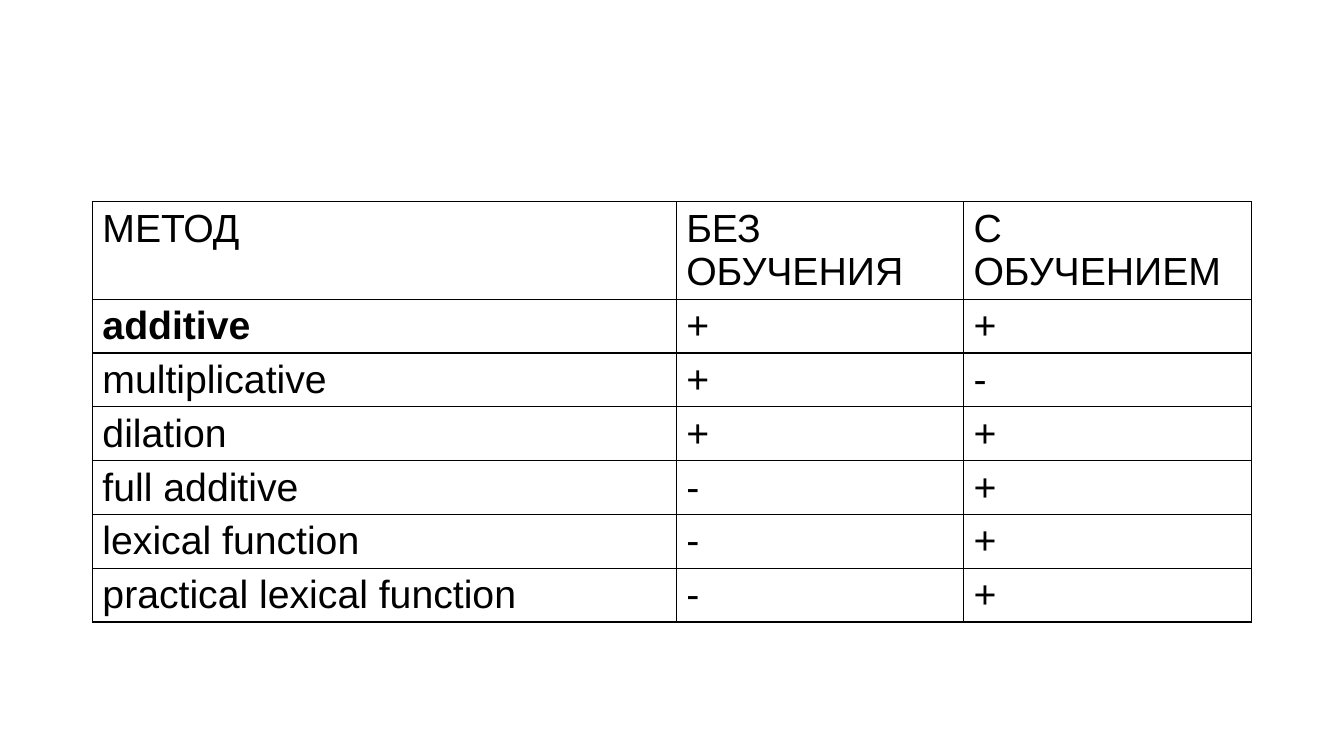
from lxml.etree import SubElement
from pptx import Presentation
from pptx.dml.color import RGBColor
from pptx.oxml.ns import qn
from pptx.util import Inches, Pt

GRID_COLUMNS, GRID_ROWS = 160, 90  # one grid unit is 1/12 inch

HEADINGS = ["МЕТОД", "БЕЗ ОБУЧЕНИЯ", "С ОБУЧЕНИЕМ"]
METHODS = [
    ["additive", "+", "+"],
    ["multiplicative", "+", "-"],
    ["dilation", "+", "+"],
    ["full additive", "-", "+"],
    ["lexical function", "-", "+"],
    ["practical lexical function", "-", "+"],
]
HIGHLIGHTED = "additive"


def color(hex_code):
    return RGBColor.from_string(hex_code)


def write(frame, text, font="Arial", size=28, ink="000000", bold=False):
    run = frame.paragraphs[0].add_run()
    run.text = text
    run.font.name = font
    run.font.size = Pt(size)
    run.font.bold = bold
    run.font.color.rgb = color(ink)


class MethodSlide:
    ink = "000000"
    border_width = Pt(1)

    def __init__(self, deck):
        self.column = deck.slide_width / GRID_COLUMNS
        self.row = deck.slide_height / GRID_ROWS
        self.slide = deck.slides.add_slide(deck.slide_layouts[6])

    def border(self, cell):
        properties = cell._tc.get_or_add_tcPr()
        for position, side in enumerate(("lnL", "lnR", "lnT", "lnB")):
            line = SubElement(properties, qn(f"a:{side}"), w=str(self.border_width))
            fill = SubElement(line, qn("a:solidFill"))
            SubElement(fill, qn("a:srgbClr"), val=self.ink)
            properties.insert(position, line)  # lines come before the fill

    def table(self, entries, left, top, widths, row_height):
        frame = self.slide.shapes.add_table(
            len(entries), len(widths),
            round(left * self.column), round(top * self.row),
            round(sum(widths) * self.column),
            round(len(entries) * row_height * self.row))
        grid = frame.table
        grid.first_row = grid.horz_banding = False
        for table_column, width in zip(grid.columns, widths):
            table_column.width = round(width * self.column)
        for table_row, texts in zip(grid.rows, entries):
            table_row.height = round(row_height * self.row)
            for cell, text in zip(table_row.cells, texts):
                cell.fill.background()
                self.border(cell)
                write(cell.text_frame, text, ink=self.ink, bold=text == HIGHLIGHTED)


def main():
    deck = Presentation()
    deck.slide_width, deck.slide_height = Inches(13.33), Inches(7.5)

    # Comparison of methods with and without training
    comparison = MethodSlide(deck)
    comparison.table([HEADINGS, *METHODS], left=11, top=24,
                     widths=[69.5, 34.2, 34.3], row_height=4.9)

    deck.save("out.pptx")


if __name__ == "__main__":
    main()
